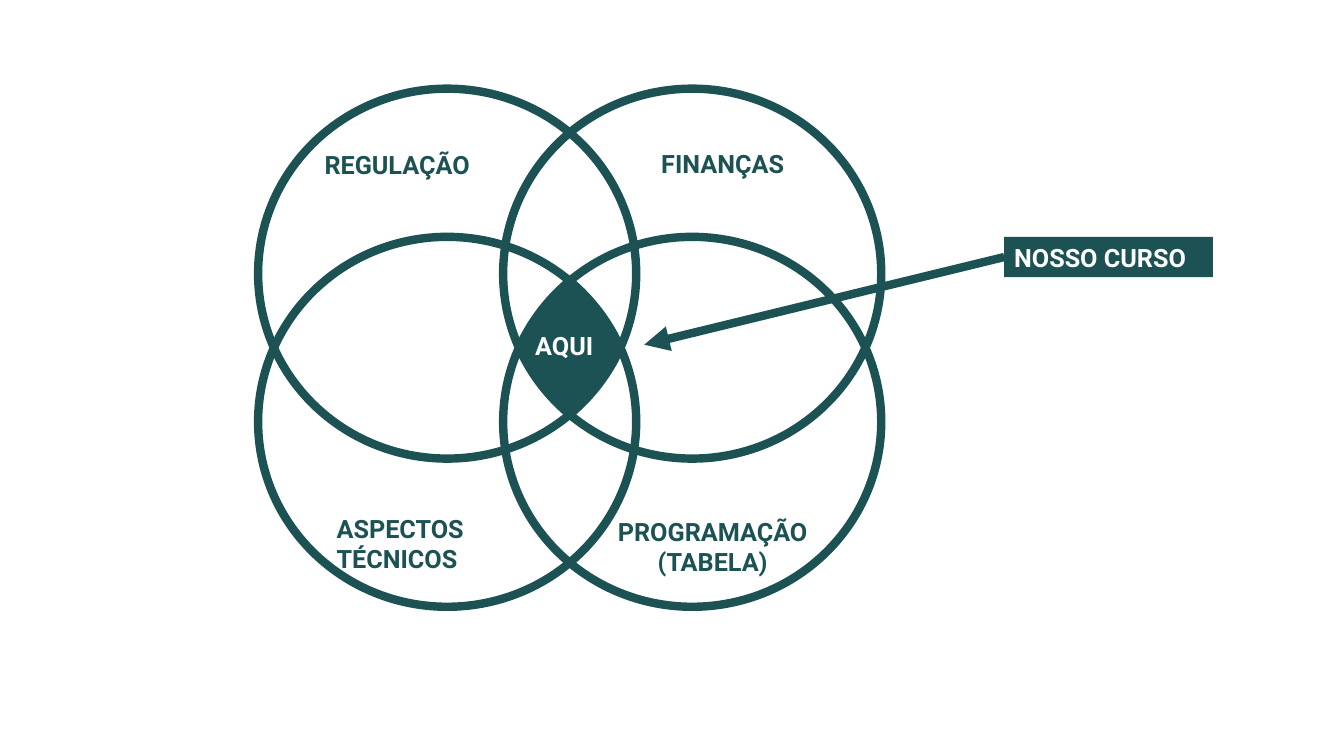
from math import acos, asin, cos, sin

from lxml import etree
from pptx import Presentation
from pptx.dml.color import RGBColor
from pptx.enum.shapes import MSO_CONNECTOR as CONNECTOR, MSO_SHAPE as SHAPE
from pptx.enum.text import MSO_ANCHOR, MSO_AUTO_SIZE as AUTO_SIZE, PP_ALIGN as ALIGN
from pptx.oxml.ns import qn
from pptx.util import Inches, Pt

COLORS = {"teal": "1C5253", "white": "FFFFFF"}
FONT = "Roboto"

# Venn diagram: circle size, diagram center, and circle centers' offset from it
WIDTH, HEIGHT = 3.75, 3.67
CENTER_X, CENTER_Y = 5.65, 3.45
OFFSET_X, OFFSET_Y = 1.215, 0.735


def color(name):
    return RGBColor.from_string(COLORS[name])


def set_line(line, width):
    line.color.rgb = color("teal")
    line.width = Pt(width)


def add_circle(slide, side_x, side_y):
    left = CENTER_X + side_x * OFFSET_X - WIDTH / 2
    top = CENTER_Y + side_y * OFFSET_Y - HEIGHT / 2
    circle = slide.shapes.add_shape(
        SHAPE.OVAL, Inches(left), Inches(top), Inches(WIDTH), Inches(HEIGHT))
    circle.shadow.inherit = False
    circle.fill.background()
    set_line(circle.line, 6)


def core_arc(side_x, side_y, steps=16):
    """Edge of the common area in one quadrant, from its top or bottom tip to its side tip."""
    start = acos(OFFSET_X / (WIDTH / 2))
    end = asin(OFFSET_Y / (HEIGHT / 2))
    angles = [start + (end - start) * i / steps for i in range(steps + 1)]
    return [(Inches(CENTER_X + side_x * (WIDTH / 2 * cos(a) - OFFSET_X)),
             Inches(CENTER_Y + side_y * (HEIGHT / 2 * sin(a) - OFFSET_Y)))
            for a in angles]


def add_core(slide):
    """Fill the area shared by all four circles."""
    outline = (core_arc(1, -1) + core_arc(1, 1)[::-1]
               + core_arc(-1, 1) + core_arc(-1, -1)[::-1])
    builder = slide.shapes.build_freeform(*outline[0], scale=1.0)
    builder.add_line_segments(outline[1:], close=True)
    core = builder.convert_to_shape()
    core.shadow.inherit = False
    core.fill.solid()
    core.fill.fore_color.rgb = color("teal")
    set_line(core.line, 1)


def write(shape, lines, ink):
    """Write (text, alignment) lines in bold."""
    frame = shape.text_frame
    frame.word_wrap = False
    frame.auto_size = AUTO_SIZE.SHAPE_TO_FIT_TEXT
    frame.vertical_anchor = MSO_ANCHOR.TOP
    for i, (text, align) in enumerate(lines):
        paragraph = frame.add_paragraph() if i else frame.paragraphs[0]
        paragraph.alignment = align
        run = paragraph.add_run()
        run.text = text
        run.font.name = FONT
        run.font.size = Pt(18)
        run.font.bold = True
        run.font.color.rgb = color(ink)


def add_label(slide, box, lines, ink="teal"):
    write(slide.shapes.add_textbox(*map(Inches, box)), lines, ink)


def add_tag(slide, box, text):
    tag = slide.shapes.add_shape(SHAPE.RECTANGLE, *map(Inches, box))
    tag.shadow.inherit = False
    tag.fill.solid()
    tag.fill.fore_color.rgb = color("teal")
    tag.line.fill.background()
    write(tag, [(text, ALIGN.LEFT)], "white")
    return tag


def add_arrow(slide, tag, tip_x, tip_y):
    """Arrow from the left side of the tag to the tip."""
    arrow = slide.shapes.add_connector(
        CONNECTOR.STRAIGHT, tag.left, tag.top + tag.height // 2,
        Inches(tip_x), Inches(tip_y))
    arrow.begin_connect(tag, 1)
    set_line(arrow.line, 6)
    etree.SubElement(arrow.line._get_or_add_ln(), qn("a:tailEnd"), type="triangle")
    etree.SubElement(arrow._element.spPr, qn("a:effectLst"))


def main():
    deck = Presentation()
    deck.slide_width, deck.slide_height = Inches(13.33), Inches(7.5)
    slide = deck.slides.add_slide(deck.slide_layouts[6])

    for side_x in (-1, 1):
        for side_y in (-1, 1):
            add_circle(slide, side_x, side_y)
    add_core(slide)

    add_label(slide, (6.03, 5.07, 2.25, 0.71),
              [("PROGRAMAÇÃO", ALIGN.LEFT), ("(TABELA)", ALIGN.CENTER)])
    add_label(slide, (6.46, 1.42, 1.56, 0.4), [("FINANÇAS", ALIGN.LEFT)])
    add_label(slide, (3.12, 1.43, 1.78, 0.4), [("REGULAÇÃO", ALIGN.LEFT)])
    add_label(slide, (3.24, 5.04, 1.62, 0.71),
              [("ASPECTOS", ALIGN.LEFT), ("TÉCNICOS", ALIGN.LEFT)])

    course = add_tag(slide, (9.96, 2.35, 2.07, 0.4), "NOSSO CURSO")
    add_arrow(slide, course, 6.39, 3.42)
    add_label(slide, (5.21, 3.23, 0.88, 0.4), [("AQUI", ALIGN.LEFT)], "white")

    deck.save("out.pptx")


if __name__ == "__main__":
    main()
